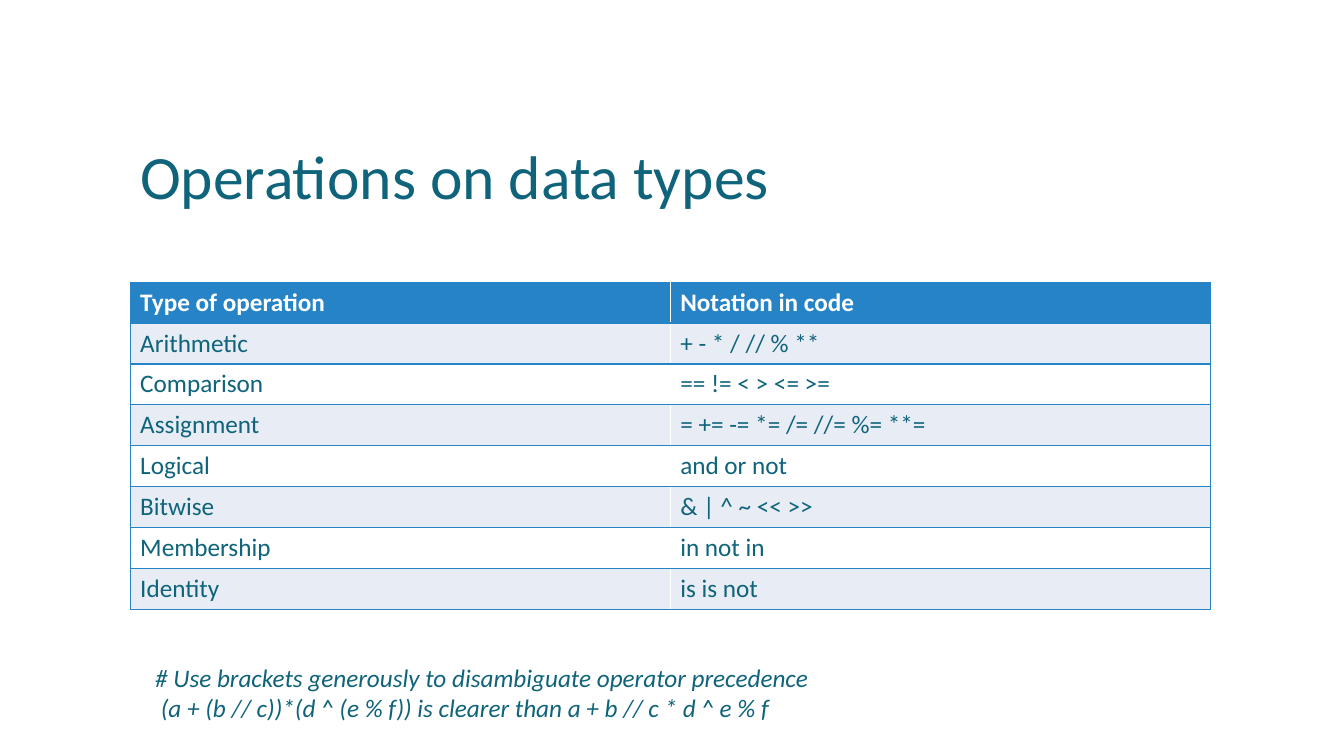
from lxml import etree
from pptx import Presentation
from pptx.dml.color import RGBColor
from pptx.enum.text import MSO_ANCHOR
from pptx.oxml.ns import qn
from pptx.util import Cm, Pt

MIDDLE = MSO_ANCHOR.MIDDLE
FONT = "Calibri"
COLORS = {"text": "0F647B", "head": "2683C6", "band": "E8EDF5", "white": "FFFFFF"}

TITLE = "Operations on data types"
ROWS = [
    ("Type of operation", "Notation in code"),
    ("Arithmetic", "+ - * / // % **"),
    ("Comparison", "== != < > <= >="),
    ("Assignment", "= += -= *= /= //= %= **="),
    ("Logical", "and or not"),
    ("Bitwise", "& | ^ ~ << >>"),
    ("Membership", "in not in"),
    ("Identity", "is is not"),
]
NOTES = [
    "# Use brackets generously to disambiguate operator precedence",
    " (a + (b // c))*(d ^ (e % f)) is clearer than a + b // c * d ^ e % f",
]
SIDES = [("lnL", "lnT", "lnB"), ("lnR", "lnT", "lnB")]
COL_W, ROW_H = 13.61, 1.03


def color(name):
    return RGBColor.from_string(COLORS[name])


def write(para, text, size, tint="text", bold=False, italic=False):
    run = para.add_run()
    run.text = text
    font = run.font
    font.name, font.size = FONT, Pt(size)
    font.bold, font.italic = bold, italic
    font.color.rgb = color(tint)


def add_box(slide, left, top, width, height, wrap):
    box = slide.shapes.add_textbox(Cm(left), Cm(top), Cm(width), Cm(height))
    box.text_frame.word_wrap = wrap
    return box.text_frame


def add_lines(cell, sides):
    props = cell._tc.get_or_add_tcPr()
    for spot, side in enumerate(sides):
        line = etree.Element(qn("a:" + side), w=str(Pt(1)))
        fill = etree.SubElement(line, qn("a:solidFill"))
        etree.SubElement(fill, qn("a:srgbClr"), val=COLORS["head"])
        props.insert(spot, line)


def add_grid(slide):
    count = len(ROWS)
    frame = slide.shapes.add_table(
        count, 2, Cm(3.28), Cm(7.11), Cm(2 * COL_W), Cm(count * ROW_H))
    table = frame.table
    for col in table.columns:
        col.width = Cm(COL_W)
    for r, row in enumerate(ROWS):
        table.rows[r].height = Cm(ROW_H)
        head = r == 0
        back = "head" if head else "band" if r % 2 else "white"
        for c, text in enumerate(row):
            cell = table.cell(r, c)
            cell.fill.solid()
            cell.fill.fore_color.rgb = color(back)
            add_lines(cell, SIDES[c])
            write(cell.text_frame.paragraphs[0], text, 18,
                  "white" if head else "text", bold=head)


def main():
    deck = Presentation()
    deck.slide_width, deck.slide_height = Cm(33.87), Cm(19.05)
    slide = deck.slides.add_slide(deck.slide_layouts[6])

    title = add_box(slide, 3.28, 2.41, 27.2, 4.24, True)
    title.vertical_anchor = MIDDLE
    title.paragraphs[0].line_spacing = 0.9
    write(title.paragraphs[0], TITLE, 44)

    add_grid(slide)

    notes = add_box(slide, 3.66, 16.56, 16.99, 1.8, False)
    for n, text in enumerate(NOTES):
        para = notes.add_paragraph() if n else notes.paragraphs[0]
        write(para, text, 18, italic=True)

    deck.save("out.pptx")


if __name__ == "__main__":
    main()
